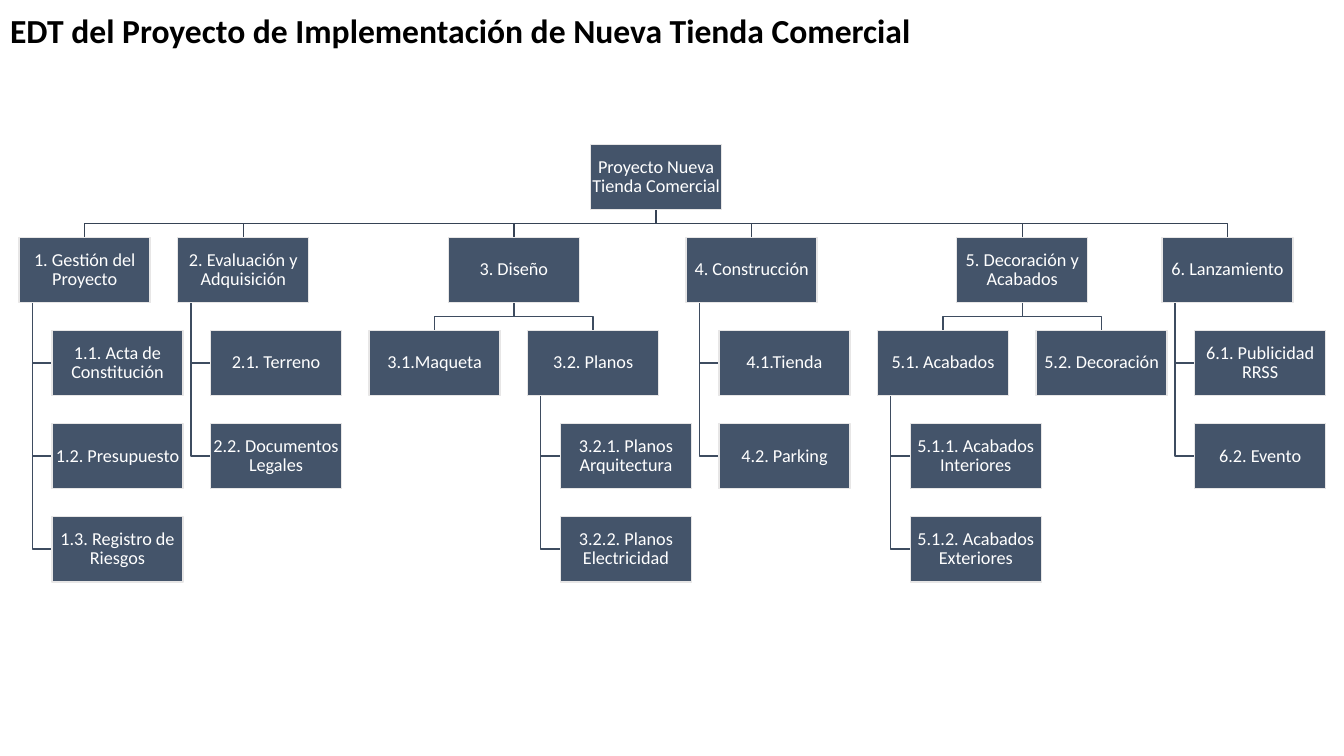
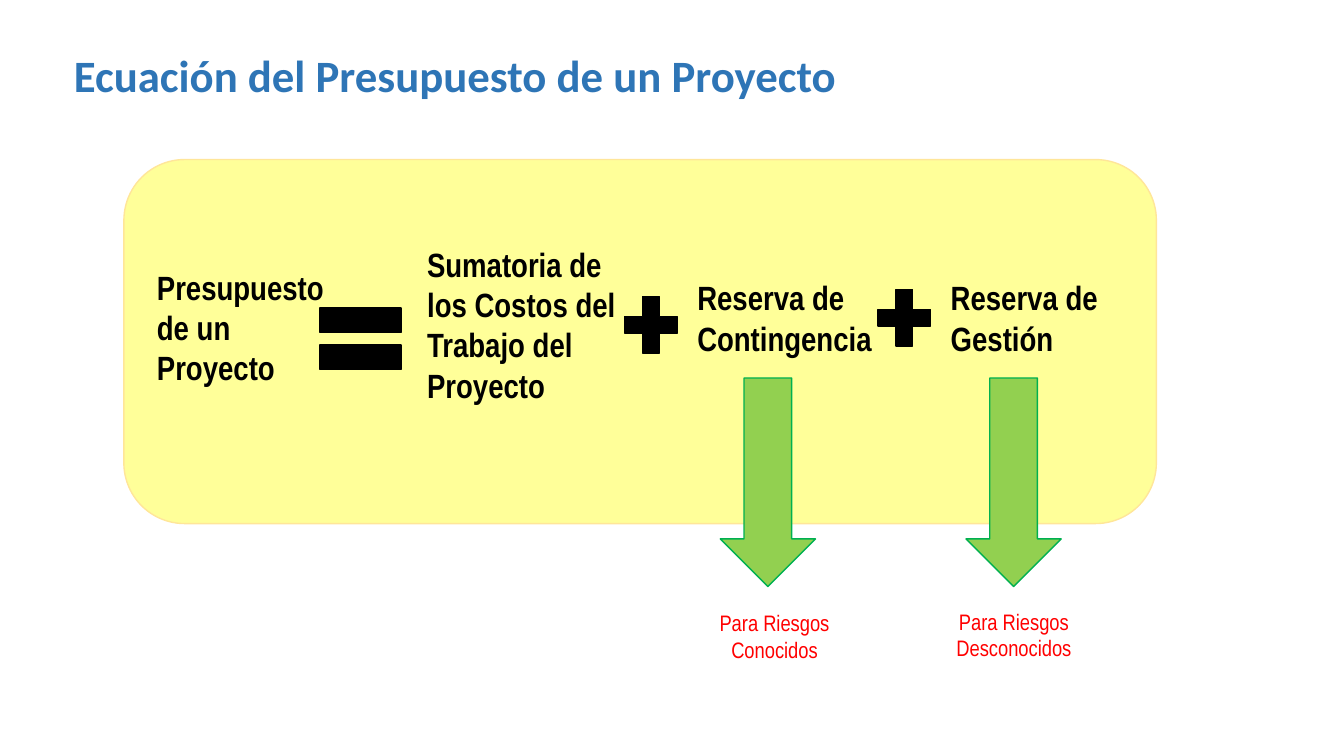
from dataclasses import dataclass, field

from pptx import Presentation
from pptx.dml.color import RGBColor
from pptx.enum.shapes import MSO_SHAPE
from pptx.enum.text import MSO_ANCHOR, MSO_AUTO_SIZE, PP_ALIGN
from pptx.util import Pt

RECT, ROUND_RECT = MSO_SHAPE.RECTANGLE, MSO_SHAPE.ROUNDED_RECTANGLE
EQUAL, PLUS, ARROW = MSO_SHAPE.MATH_EQUAL, MSO_SHAPE.MATH_PLUS, MSO_SHAPE.DOWN_ARROW
LEFT, CENTER = PP_ALIGN.LEFT, PP_ALIGN.CENTER
TOP, MIDDLE = MSO_ANCHOR.TOP, MSO_ANCHOR.MIDDLE
NO_FIT = MSO_AUTO_SIZE.NONE
TITLE_ONLY = 5

BLACK = RGBColor(0x00, 0x00, 0x00)
WHITE = RGBColor(0xFF, 0xFF, 0xFF)
BLUE = RGBColor(0x2E, 0x75, 0xB6)
RED = RGBColor(0xFF, 0x00, 0x00)
SLATE = RGBColor(0x44, 0x54, 0x6A)
PALE_GRAY = RGBColor(0xE7, 0xE6, 0xE6)
TRUNK = RGBColor(0x36, 0x43, 0x55)
BRANCH = RGBColor(0x3E, 0x4C, 0x60)
YELLOW = RGBColor(0xFF, 0xFF, 0x99)
GOLD = RGBColor(0xFF, 0xE6, 0x99)
LIME = RGBColor(0x92, 0xD0, 0x50)
GREEN = RGBColor(0x00, 0xB0, 0x50)

# Chart geometry, in points
BOX_W, BOX_H = 93.6, 46.8
COL_GAP, ROW_STEP = 0.21 * BOX_W, 1.42 * BOX_H
INDENT, STEM = 0.25 * BOX_W, 0.1 * BOX_W
CHART_LEFT, CHART_TOP = 13.7, 103


@dataclass
class Node:
    """A work package; children that are all leaves hang below it."""
    text: str
    children: list = field(default_factory=list)
    x: float = 0
    row: int = 0

    def hangs(self):
        return not any(c.children for c in self.children)

    def family(self):
        yield self
        for c in self.children:
            yield from c.family()

    def shift(self, dx):
        for n in self.family():
            n.x += dx

    def arrange(self, row=0):
        self.row = row
        if self.hangs():
            for i, c in enumerate(self.children, 1):
                c.x, c.row = self.x + INDENT, row + i
            return
        # Pack the subtrees as closely as each row allows
        edges = {}
        for c in self.children:
            c.arrange(row + 1)
            c.shift(max((edges[n.row] - n.x for n in c.family() if n.row in edges), default=0))
            for n in c.family():
                edges[n.row] = max(edges.get(n.row, 0), n.x + BOX_W + COL_GAP)
        self.x = (self.children[0].x + self.children[-1].x) / 2

    @property
    def y(self):
        return CHART_TOP + self.row * ROW_STEP


class Deck:
    """Holds the style and the current slide."""
    HEAD_FONT, BODY_FONT = "Calibri", "Arial Narrow"

    def __init__(self):
        self.prs = Presentation()
        self.prs.slide_width, self.prs.slide_height = Pt(960), Pt(540)

    def slide(self, title, x, y, h, size, color):
        self.s = self.prs.slides.add_slide(self.prs.slide_layouts[TITLE_ONLY])
        sp = self.s.shapes.title
        sp.left, sp.top, sp.width, sp.height = Pt(x), Pt(y), Pt(693.5), Pt(h)
        self.fill_text(sp, title, size, color, self.HEAD_FONT, bold=True)

    def fill_text(self, sp, text, size, color, font, bold=False, align=LEFT, anchor=TOP):
        tf = sp.text_frame
        tf.word_wrap, tf.auto_size, tf.vertical_anchor = True, NO_FIT, anchor
        p = tf.paragraphs[0]
        p.alignment = align
        r = p.add_run()
        r.text = text
        r.font.name, r.font.size, r.font.bold = font, Pt(size), bold
        r.font.color.rgb = color
        return tf

    def text(self, text, x, y, w, h, size=24, color=BLACK, bold=True, align=LEFT):
        sp = self.s.shapes.add_textbox(Pt(x), Pt(y), Pt(w), Pt(h))
        self.fill_text(sp, text, size, color, self.BODY_FONT, bold, align)

    def shape(self, kind, x, y, w, h, fill=BLACK, line=BLACK):
        sp = self.s.shapes.add_shape(kind, Pt(x), Pt(y), Pt(w), Pt(h))
        sp.shadow.inherit = False
        sp.fill.solid()
        sp.fill.fore_color.rgb = fill
        sp.line.color.rgb = line
        sp.line.width = Pt(1)
        return sp

    def box(self, node):
        sp = self.shape(RECT, node.x, node.y, BOX_W, BOX_H, SLATE, PALE_GRAY)
        tf = self.fill_text(sp, node.text, 13, WHITE, self.HEAD_FONT, align=CENTER, anchor=MIDDLE)
        tf.margin_left = tf.margin_right = tf.margin_top = tf.margin_bottom = Pt(0.7)
        tf.paragraphs[0].line_spacing = 0.9

    def polyline(self, points, color):
        start, *rest = [(Pt(x), Pt(y)) for x, y in points]
        fb = self.s.shapes.build_freeform(*start)
        fb.add_line_segments(rest, close=False)
        sp = fb.convert_to_shape()
        sp.shadow.inherit = False
        sp.fill.background()
        sp.line.color.rgb = color
        sp.line.width = Pt(1)

    def elbow(self, parent, child):
        bottom = parent.y + BOX_H
        if parent.hangs():
            x, y = parent.x + STEM, child.y + BOX_H / 2
            points = [(x, bottom), (x, y), (child.x, y)]
        else:
            x1, x2 = parent.x + BOX_W / 2, child.x + BOX_W / 2
            mid = (bottom + child.y) / 2
            points = [(x1, bottom), (x1, mid), (x2, mid), (x2, child.y)]
        self.polyline(points, BRANCH if parent.row else TRUNK)

    def tree(self, root):
        root.arrange()
        root.shift(CHART_LEFT)
        for parent in root.family():
            for child in parent.children:
                self.elbow(parent, child)
        for node in root.family():
            self.box(node)


def wbs():
    return Node("Proyecto Nueva Tienda Comercial", [
        Node("1. Gestión del Proyecto", [
            Node("1.1. Acta de Constitución"),
            Node("1.2. Presupuesto"),
            Node("1.3. Registro de Riesgos")]),
        Node("2. Evaluación y Adquisición", [
            Node("2.1. Terreno"),
            Node("2.2. Documentos Legales")]),
        Node("3. Diseño", [
            Node("3.1.Maqueta"),
            Node("3.2. Planos", [
                Node("3.2.1. Planos Arquitectura"),
                Node("3.2.2. Planos Electricidad")])]),
        Node("4. Construcción", [
            Node("4.1.Tienda"),
            Node("4.2. Parking")]),
        Node("5. Decoración y Acabados", [
            Node("5.1. Acabados", [
                Node("5.1.1. Acabados Interiores"),
                Node("5.1.2. Acabados Exteriores")]),
            Node("5.2. Decoración")]),
        Node("6. Lanzamiento", [
            Node("6.1. Publicidad RRSS"),
            Node("6.2. Evento")]),
    ])


def main():
    d = Deck()

    # Work breakdown structure
    d.slide("EDT del Proyecto de Implementación de Nueva Tienda Comercial", 0, 3.5, 36, 24, BLACK)
    d.tree(wbs())

    # Budget equation: panel, terms and operators
    d.slide("Ecuación del Presupuesto de un Proyecto", 45.5, 30.5, 46, 32, BLUE)
    d.shape(ROUND_RECT, 88.5, 114, 737.5, 260, YELLOW, GOLD)
    for term, x, y, w, h in [
            ("Presupuesto de un Proyecto", 105, 187, 142, 94.5),
            ("Sumatoria de los Costos del Trabajo del Proyecto", 298, 170.5, 164, 124),
            ("Reserva de Contingencia", 491, 194.5, 141, 65.5),
            ("Reserva de Gestión", 672, 194.5, 127, 65.5)]:
        d.text(term, x, y, w, h)
    for kind, x, y, w, h in [
            (EQUAL, 218, 204.5, 79, 75),
            (PLUS, 439.5, 204.5, 51, 55),
            (PLUS, 620.5, 199.5, 51, 55)]:
        d.shape(kind, x, y, w, h)

    # Arrows from each reserve to its kind of risk
    for label, arrow_x, x, y in [
            ("Para Riesgos Conocidos", 514.5, 501, 431.5),
            ("Para Riesgos Desconocidos", 690, 672, 430.5)]:
        d.shape(ARROW, arrow_x, 270, 68, 149, LIME, GREEN)
        d.text(label, x, y, 104.5, 46, 16, RED, False, CENTER)

    d.prs.save("out.pptx")


if __name__ == "__main__":
    main()
